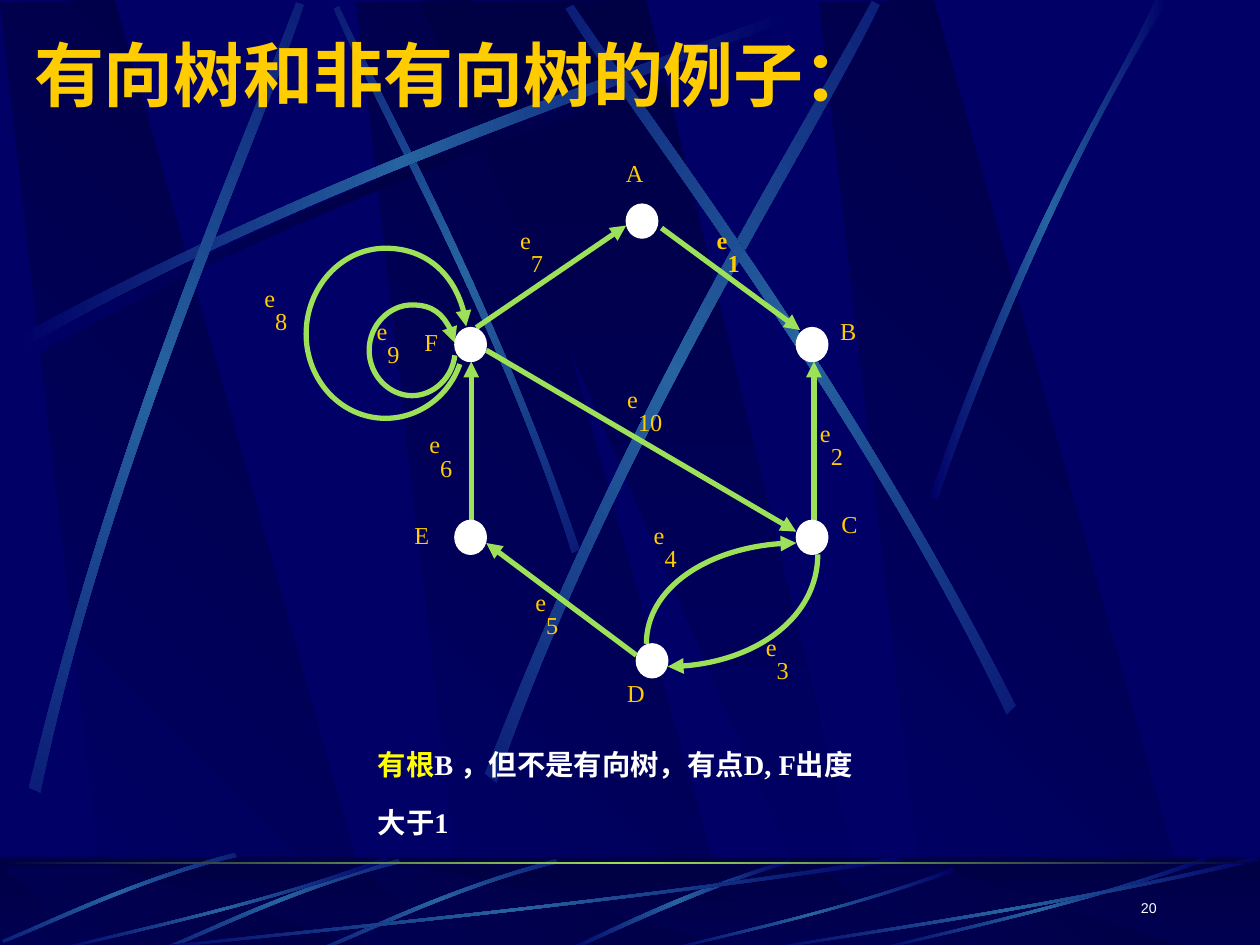
"""Build a slide that shows a directed graph which is not a directed tree."""
import math

from lxml import etree
from pptx import Presentation
from pptx.dml.color import RGBColor
from pptx.enum.shapes import MSO_CONNECTOR, MSO_SHAPE
from pptx.enum.text import MSO_ANCHOR, MSO_AUTO_SIZE, PP_ALIGN
from pptx.oxml import parse_xml
from pptx.oxml.ns import nsdecls, qn
from pptx.util import Inches, Pt

RECT, OVAL = MSO_SHAPE.RECTANGLE, MSO_SHAPE.OVAL
STRAIGHT = MSO_CONNECTOR.STRAIGHT
MIDDLE, BOTTOM, TOP = MSO_ANCHOR.MIDDLE, MSO_ANCHOR.BOTTOM, MSO_ANCHOR.TOP
LEFT, RIGHT = PP_ALIGN.LEFT, PP_ALIGN.RIGHT
GROW, FIXED = MSO_AUTO_SIZE.SHAPE_TO_FIT_TEXT, MSO_AUTO_SIZE.NONE

NAVY = RGBColor(0x00, 0x00, 0x66)
DARK = RGBColor(0x00, 0x00, 0x44)
STEEL = RGBColor(0x26, 0x63, 0xA0)
GREEN = RGBColor(0x9C, 0xE1, 0x57)
GOLD = RGBColor(0xFF, 0xCC, 0x00)
YELLOW = RGBColor(0xFF, 0xFF, 0x00)
WHITE = RGBColor(0xFF, 0xFF, 0xFF)
GLOW, SHADE = (NAVY, STEEL, NAVY), (NAVY, DARK, NAVY)

RAISED, LOWERED = "30000", "-25000"
TITLE_FONT = {"size": Pt(40), "name": "Montserrat", "bold": True}
LABEL_FONT = {"size": Pt(24), "name": "Times New Roman", "bold": False}
NOTE_FONT = {"size": Pt(28), "name": "Times New Roman", "bold": True}
NUMBER_FONT = {"size": Pt(14), "name": "Arial"}

PANEL_X = (0, 2.83, 6.5)
TALL_PANEL = [(0.86, 7.5), (3.02, 7.52), (0.91, 0), (0, 0.02)]
TALL_WEDGE = [(3.33, 0.01), (6.58, 7.51), (6.94, 7.51), (5.13, 0)]
LOW_PANEL = [(0.86, 7.55), (3.02, 7.55), (0.91, 6.88), (0, 6.88)]
LOW_WEDGE = [(3.33, 6.88), (6.58, 7.55), (6.94, 7.55), (5.13, 6.88)]
LONG_STREAK = [(0.14, 2.67), (2.78, 1.25), (5.18, 0.51), (6.2, 0.1),
               (6.23, 0.16), (5.22, 0.61), (2.48, 1.43), (0.17, 2.77)]
TALL_STREAKS = [
    (45, [(4.6, 4.36), (3.91, 2.34), (3.02, 0.77), (2.69, 0.05),
          (2.65, 0.07), (2.95, 0.79), (3.98, 2.58), (4.54, 4.39)]),
    (0, LONG_STREAK),
    (311.7, [(0.23, 6.25), (0.93, 3.34), (1.97, 1.05), (2.35, 0.02),
             (2.41, 0.04), (2.07, 1.09), (0.86, 3.68), (0.32, 6.29)]),
    (321.6, [(3.85, 6.14), (4.98, 3.2), (6.38, 1.02), (6.92, 0.01),
             (6.98, 0.04), (6.49, 1.08), (4.86, 3.55), (3.94, 6.21)]),
    (34.7, [(8.06, 5.6), (6.7, 2.93), (5.16, 0.95), (4.55, 0.04),
            (4.49, 0.07), (5.07, 1.01), (6.85, 3.25), (7.99, 5.67)]),
    (0, [(7.38, 3.94), (8.14, 1.73), (8.88, 0.66), (9.17, 0),
         (9.27, 0), (8.36, 1.45), (7.69, 3.22), (7.44, 3.97)]),
]
SHORT_STREAK = [(6.27, 6.82), (5.37, 7.09), (4.77, 7.42), (4.48, 7.54),
                (4.53, 7.55), (4.9, 7.38), (5.71, 7), (6.28, 6.85)]
TILTED_STREAK = [(1.86, 6.77), (0.99, 7), (0.33, 7.34), (0.02, 7.46),
                 (0.03, 7.48), (0.34, 7.37), (1.1, 6.98), (1.88, 6.8)]
TILTED_SHIFTS = [(2.55, 0.05), (1.3, 0.05), (0, 0)]
UNIT_STREAK = [(1, 0.04), (0.57, 0.57), (0.17, 0.85), (0.01, 1),
               (0, 0.99), (0.17, 0.81), (0.62, 0.51), (0.99, 0)]
FLAT_STREAK_BOXES = [(1, 6.8, 6.17, 0.75), (0.42, 6.8, 2.67, 0.75), (5.27, 6.89, 2.31, 0.66),
                     (6.92, 6.8, 2.67, 0.75), (6, 6.8, 4, 0.75)]
FOOTER_BOX = (0, 6.8, 10, 0.75)

NODE_W, NODE_H, LABEL_H = 0.25, 0.27, 0.5
NODES = {"A": (4.97, 1.62), "F": (3.61, 2.6), "B": (6.32, 2.6),
         "D": (5.05, 5.11), "E": (3.61, 4.13), "C": (6.32, 4.13)}
NODE_LABELS = {"A": (4.87, 1.17, 0.44), "B": (6.57, 2.42, 0.42), "C": (6.58, 3.95, 0.42),
               "D": (4.88, 5.29, 0.44), "E": (3.19, 4.04, 0.4), "F": (3.27, 2.51, 0.39)}
EDGES = {"DE": (5.05, 5.2, 3.86, 4.31), "EF": (3.74, 4.13, 3.74, 2.87),
         "FA": (3.78, 2.6, 4.97, 1.79), "AB": (5.25, 1.81, 6.35, 2.62),
         "CB": (6.46, 4.13, 6.46, 2.87), "FC": (3.86, 2.78, 6.32, 4.22)}
ARCS = {
    "DC": [(5.13, 5.11), (5.13, 4.67), (5.67, 4.31), (6.32, 4.31)],
    "CD": [(6.49, 4.4), (6.49, 4.89), (5.96, 5.29), (5.3, 5.29)],
    "inner FF": [(3.61, 2.82), (3.59, 3), (3.44, 3.14), (3.27, 3.14), (3.09, 3.14),
                 (2.93, 2.98), (2.93, 2.78), (2.93, 2.58), (3.09, 2.42), (3.27, 2.42),
                 (3.44, 2.42), (3.58, 2.55), (3.61, 2.72)],
    "outer FF": [(3.65, 2.89), (3.56, 3.15), (3.32, 3.32), (3.06, 3.32), (2.71, 3.32),
                 (2.43, 3.02), (2.43, 2.65), (2.43, 2.28), (2.71, 1.97), (3.06, 1.97),
                 (3.39, 1.97), (3.67, 2.24), (3.7, 2.59)],
}
EDGE_LABELS = {"1": (5.59, 1.7), "2": (6.41, 3.23), "3": (5.98, 4.93), "4": (5.09, 4.04),
               "5": (4.15, 4.57), "6": (3.31, 3.32), "7": (4.03, 1.7), "9": (2.89, 2.42),
               "8": (2, 2.16), "10": (4.88, 2.96)}


def shift(points, dx, dy=0):
    return [(x + dx, y + dy) for x, y in points]


def rotate(x, y, degrees):
    a = math.radians(degrees)
    return x * math.cos(a) - y * math.sin(a), x * math.sin(a) + y * math.cos(a)


def set_gradient(sp, colors, angle):
    last = len(colors) - 1
    stops = "".join(f'<a:gs pos="{100000 * i // last}"><a:srgbClr val="{c}"/></a:gs>'
                    for i, c in enumerate(colors))
    sp.fill.background()
    no_fill = sp._element.spPr.find(qn("a:noFill"))
    no_fill.getparent().replace(no_fill, parse_xml(
        f'<a:gradFill rotWithShape="1" {nsdecls("a")}><a:gsLst>{stops}</a:gsLst>'
        f'<a:lin ang="{angle * 60000}" scaled="0"/></a:gradFill>'))
    sp.line.fill.background()


def add_outline(shapes, points, segments, close=True):
    start, *rest = [(Inches(x), Inches(y)) for x, y in points]
    fb = shapes.build_freeform(*start, scale=1.0)
    fb.add_line_segments(rest, close=close)
    sp = fb.convert_to_shape()
    sp.shadow.inherit = False
    steps = iter(sp._element.findall(".//" + qn("a:lnTo")))
    for segment in segments:
        step = next(steps)
        if segment == "curve":
            curve = etree.Element(qn("a:cubicBezTo"))
            step.addprevious(curve)
            for part in (step, next(steps), next(steps)):
                curve.append(part[0])
                part.getparent().remove(part)
    return sp


def add_panel(shapes, points, colors, angle):
    set_gradient(add_outline(shapes, points, ["line"] * 3), colors, angle)


def add_streak(shapes, points, turn=0, colors=GLOW):
    level = [rotate(x, y, -turn) for x, y in points]
    sp = add_outline(shapes, level, ["curve", "line", "curve"])
    cx, cy = rotate(sp.left + sp.width / 2, sp.top + sp.height / 2, turn)
    sp.left, sp.top = round(cx - sp.width / 2), round(cy - sp.height / 2)
    sp.rotation = turn
    set_gradient(sp, colors, 0)


def add_solid(shapes, kind, box, color):
    sp = shapes.add_shape(kind, *map(Inches, box))
    sp.shadow.inherit = False
    sp.fill.solid()
    sp.fill.fore_color.rgb = sp.line.color.rgb = color
    sp.line.width = Pt(0.75)
    return sp


def style_arrow(sp):
    sp.line.color.rgb, sp.line.width = GREEN, Pt(3)
    etree.SubElement(sp.line._get_or_add_ln(), qn("a:tailEnd"), type="triangle")


def add_edge(shapes, ends):
    cn = shapes.add_connector(STRAIGHT, *map(Inches, ends))
    style_arrow(cn)
    etree.SubElement(cn._element.spPr, qn("a:effectLst"))


def add_arc(shapes, points):
    sp = add_outline(shapes, points, ["curve"] * (len(points) // 3), close=False)
    sp.fill.background()
    style_arrow(sp)


def write(sp, runs, font, align=LEFT, **frame):
    tf = sp.text_frame
    for name, value in frame.items():
        setattr(tf, name, value)
    p = tf.paragraphs[0]
    p.alignment = align
    for text, color, baseline in runs:
        r = p.add_run()
        r.text = text
        for name, value in font.items():
            setattr(r.font, name, value)
        r.font.color.rgb = color
        r.font._element.set("baseline", baseline)


def add_text(shapes, box, runs, font, wrap=False, size=GROW, anchor=TOP, align=LEFT):
    sp = shapes.add_textbox(*map(Inches, box))
    write(sp, runs, font, align, word_wrap=wrap, auto_size=size, vertical_anchor=anchor)


def draw_panels(shapes, panel, wedge):
    for x in PANEL_X:
        add_panel(shapes, shift(panel, x), (NAVY, DARK), 315)
    add_panel(shapes, wedge, (DARK, NAVY), 90)


def draw_backdrop(shapes):
    draw_panels(shapes, TALL_PANEL, TALL_WEDGE)
    add_streak(shapes, shift(LONG_STREAK, 0.06, 0.08), colors=SHADE)
    for turn, points in TALL_STREAKS:
        add_streak(shapes, points, turn)


def draw_footer(shapes):
    set_gradient(add_solid(shapes, RECT, FOOTER_BOX, DARK), (DARK, NAVY), 90)
    draw_panels(shapes, LOW_PANEL, LOW_WEDGE)
    veil = add_solid(shapes, RECT, FOOTER_BOX, DARK)
    veil.line.fill.background()
    etree.SubElement(veil._element.spPr.find(".//" + qn("a:srgbClr")), qn("a:alpha"), val="50000")
    add_streak(shapes, SHORT_STREAK)
    for dx, dy in TILTED_SHIFTS:
        add_streak(shapes, shift(TILTED_STREAK, dx, dy), 315)
    for x, y, w, h in FLAT_STREAK_BOXES:
        add_streak(shapes, [(x + w * u, y + h * v) for u, v in UNIT_STREAK])
    set_gradient(add_solid(shapes, RECT, (0, 6.84, 10, 0.02), GREEN), (DARK, GREEN, DARK), 0)


def draw_graph(shapes):
    for ends in EDGES.values():
        add_edge(shapes, ends)
    for points in ARCS.values():
        add_arc(shapes, points)
    for x, y in NODES.values():
        add_solid(shapes, OVAL, (x, y, NODE_W, NODE_H), WHITE)
    for name, box in NODE_LABELS.items():
        add_text(shapes, (*box, LABEL_H), [(name, GOLD, RAISED)], LABEL_FONT)
    for number, (x, y) in EDGE_LABELS.items():
        add_text(shapes, (x, y, 0.35 + 0.11 * len(number), LABEL_H),
                 [("e", GOLD, RAISED), (number, GOLD, LOWERED)],
                 {**LABEL_FONT, "bold": number == "1"})


def draw_title(s):
    title = s.shapes.title
    s.shapes._spTree.append(title._element)
    title.left, title.top, title.width, title.height = map(Inches, (0.17, 0.2, 8.5, 0.77))
    write(title, [("有向树和非有向树的例子：", GOLD, "0")], TITLE_FONT,
          vertical_anchor=MIDDLE, auto_size=GROW)


def main():
    prs = Presentation()
    prs.slide_width, prs.slide_height = Inches(10), Inches(7.5)
    s = prs.slides.add_slide(prs.slide_layouts[5])
    s.background.fill.solid()
    s.background.fill.fore_color.rgb = NAVY
    draw_backdrop(s.shapes)
    draw_footer(s.shapes)
    draw_title(s)
    draw_graph(s.shapes)
    add_text(s.shapes, (2.9, 5.83, 4.1, 1.04),
             [("有根", YELLOW, RAISED), ("B ，但不是有向树，有点D, F出度大于1", WHITE, RAISED)],
             NOTE_FONT, wrap=True)
    add_text(s.shapes, (7.2, 6.9, 2.08, 0.5), [("20", WHITE, RAISED)], NUMBER_FONT,
             wrap=True, size=FIXED, anchor=BOTTOM, align=RIGHT)
    prs.save("out.pptx")


if __name__ == "__main__":
    main()
